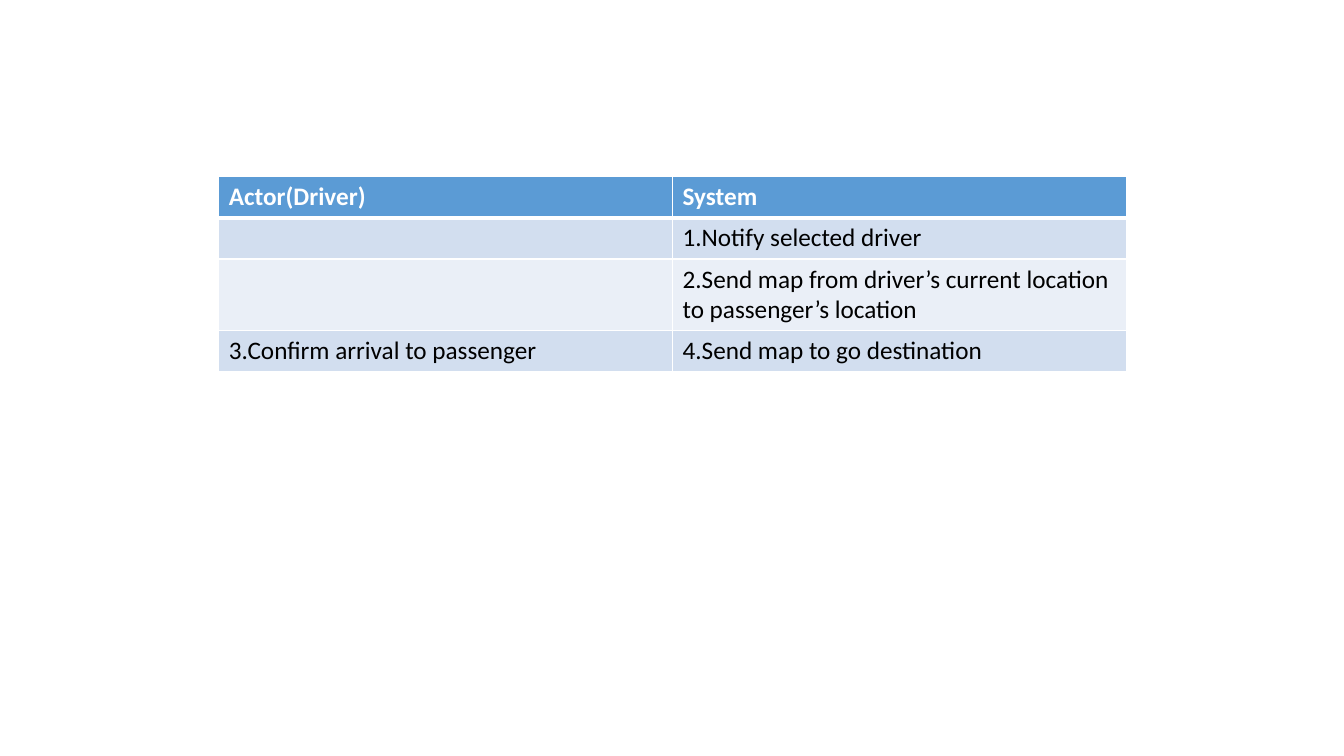
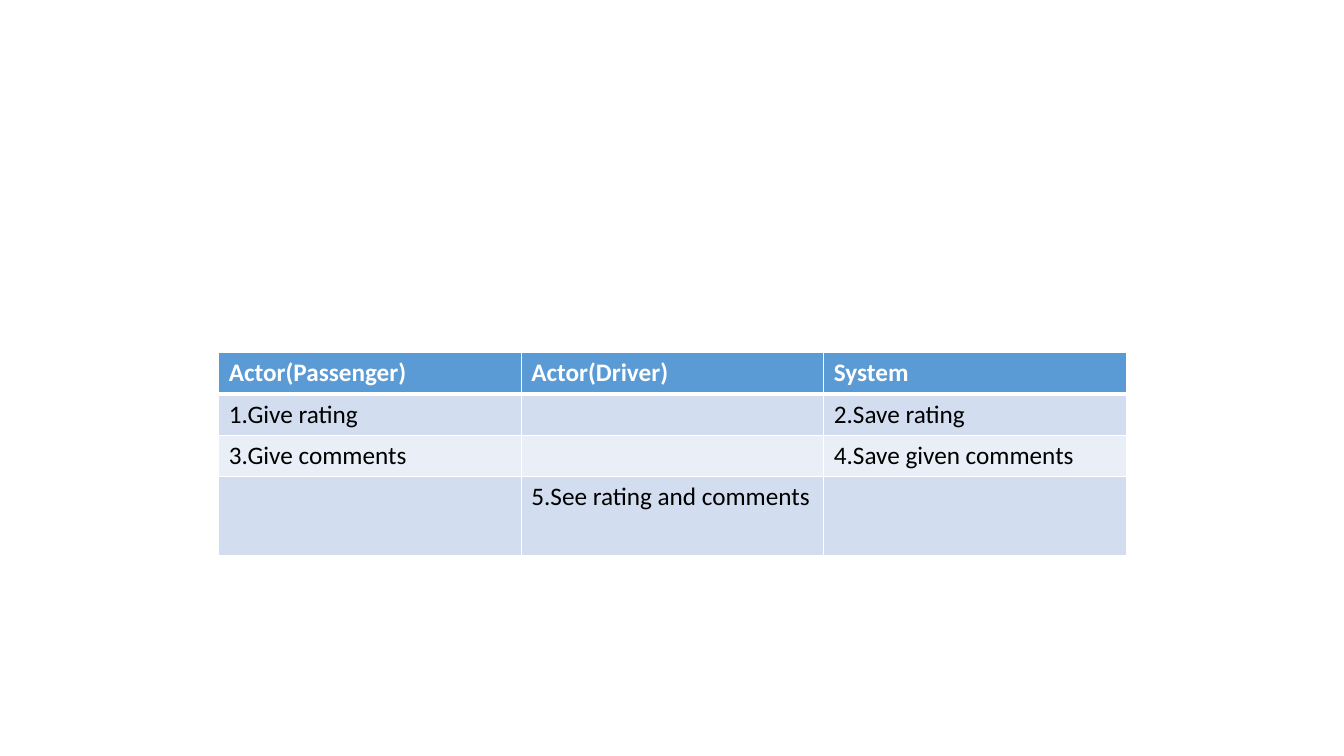
"""Build two slides of use-case tables that set actor steps beside system steps."""
from lxml import etree
from pptx import Presentation
from pptx.dml.color import RGBColor
from pptx.oxml.ns import qn
from pptx.util import Inches, Pt

COLORS = {
    "header": "5B9BD5",
    "odd_row": "D2DEEF",
    "even_row": "EAEFF7",
    "border": "FFFFFF",
    "header_text": "FFFFFF",
    "body_text": "000000",
}
FONT = "Calibri"
TEXT_SIZE = 18
BLANK_LAYOUT = 6
TABLE_LEFT = 2.17
TABLE_WIDTH = 9
ROW_HEIGHT = 0.41
THIN, THICK = 1, 3

DRIVER_STEPS = [
    ["Actor(Driver)", "System"],
    ["", "1.Notify selected driver"],
    ["", "2.Send map from driver’s current location to passenger’s location"],
    ["3.Confirm arrival to passenger", "4.Send map to go destination"],
]
RATING_STEPS = [
    ["Actor(Passenger)", "Actor(Driver)", "System"],
    ["1.Give rating", "", "2.Save rating"],
    ["3.Give comments", "", "4.Save given comments"],
    ["", "5.See rating and comments", ""],
]


def color(name):
    """Return the named colour."""
    return RGBColor.from_string(COLORS[name])


def set_borders(cell, top, bottom):
    """Draw the four cell borders, with widths in points for top and bottom."""
    properties = cell._tc.get_or_add_tcPr()
    for side, width in (("L", THIN), ("R", THIN), ("T", top), ("B", bottom)):
        line = etree.SubElement(properties, qn(f"a:ln{side}"), w=str(Pt(width)))
        fill = etree.SubElement(line, qn("a:solidFill"))
        etree.SubElement(fill, qn("a:srgbClr"), val=COLORS["border"])


def format_cell(cell, text, row_index):
    """Fill one cell and style it by its row."""
    is_header = row_index == 0
    set_borders(cell, THICK if row_index == 1 else THIN, THICK if is_header else THIN)
    band = "odd_row" if row_index % 2 else "even_row"
    cell.fill.solid()
    cell.fill.fore_color.rgb = color("header" if is_header else band)
    para = cell.text_frame.paragraphs[0]
    para.text = text
    para.font.name = FONT
    para.font.size = Pt(TEXT_SIZE)
    para.font.bold = is_header
    para.font.color.rgb = color("header_text" if is_header else "body_text")


def add_steps_slide(deck, steps, top, last_height=ROW_HEIGHT):
    """Add a slide with one table of equally wide columns."""
    page = deck.slides.add_slide(deck.slide_layouts[BLANK_LAYOUT])
    heights = [ROW_HEIGHT] * (len(steps) - 1) + [last_height]
    column_count = len(steps[0])
    table = page.shapes.add_table(
        len(steps), column_count, Inches(TABLE_LEFT), Inches(top),
        Inches(TABLE_WIDTH), Inches(sum(heights)),
    ).table
    for column in table.columns:
        column.width = Inches(TABLE_WIDTH / column_count)
    for row_index, (row, height, texts) in enumerate(zip(table.rows, heights, steps)):
        row.height = Inches(height)
        for cell, text in zip(row.cells, texts):
            format_cell(cell, text, row_index)


def main():
    """Build and save the deck."""
    deck = Presentation()
    deck.slide_width = Inches(13.33)
    deck.slide_height = Inches(7.5)
    add_steps_slide(deck, DRIVER_STEPS, top=1.75)
    add_steps_slide(deck, RATING_STEPS, top=3.5, last_height=0.78)
    deck.save("out.pptx")


if __name__ == "__main__":
    main()
